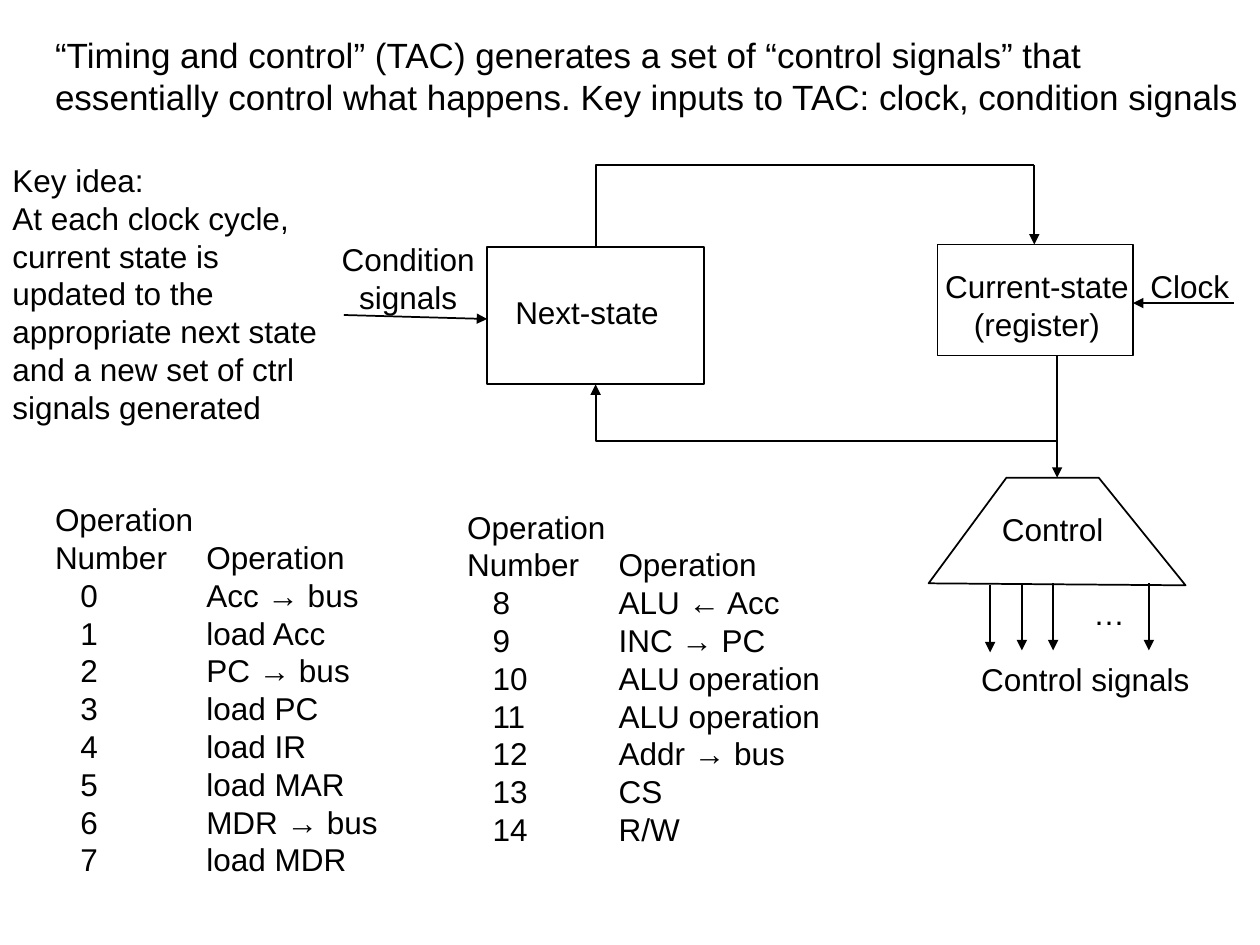
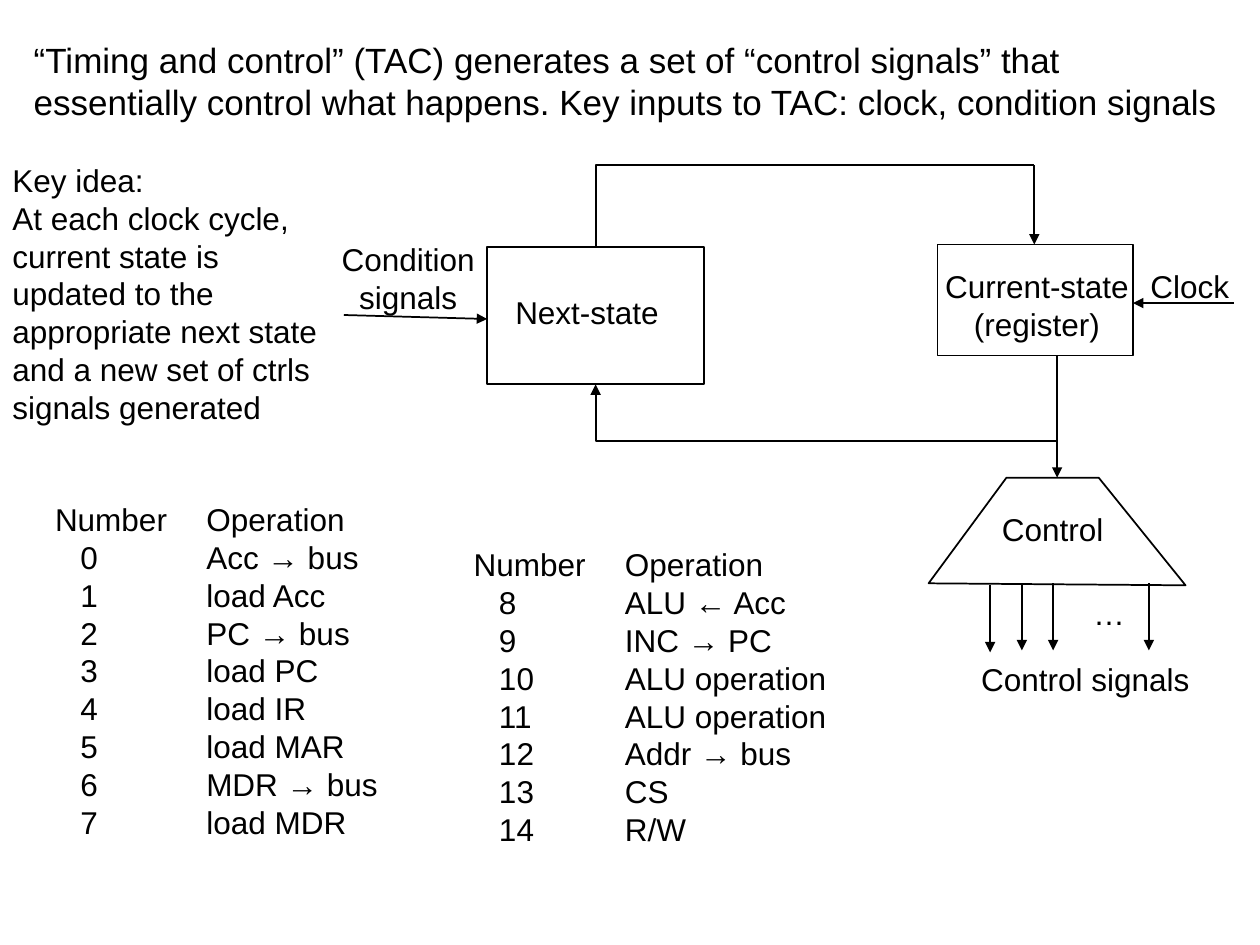
import pptx
import pptx.util
import pptx.dml.color
import pptx.enum.shapes
import pptx.enum.text
import pptx.oxml.ns
import lxml.etree

Cm = pptx.util.Cm
qn = pptx.oxml.ns.qn
ALIGN = pptx.enum.text.PP_ALIGN
KIND = pptx.enum.shapes.MSO_CONNECTOR

INK = {"text": "000000", "line": "000000"}
FONT = "Arial"
TABS = (0.51, 3.05)
TITLE = ("“Timing and control” (TAC) generates a set of “control signals” that "
         "essentially control what happens. Key inputs to TAC: clock, condition signals")
IDEA = ("Key idea:\nAt each clock cycle,\n"
        "current state is updated to the appropriate next state\n"
        "and a new set of {} signals generated")
STEPS = ["Acc → bus", "load Acc", "PC → bus", "load PC", "load IR", "load MAR",
         "MDR → bus", "load MDR", "ALU ← Acc", "INC → PC", "ALU operation",
         "ALU operation", "Addr → bus", "CS", "R/W"]
SPLIT = 8


def paint(key):
    return pptx.dml.color.RGBColor.from_string(INK[key])


def write(slide, text, left, top, width, height, size=18, align=ALIGN.LEFT):
    box = slide.shapes.add_textbox(Cm(left), Cm(top), Cm(width), Cm(height))
    frame = box.text_frame
    frame.word_wrap = True
    frame.auto_size = pptx.enum.text.MSO_AUTO_SIZE.SHAPE_TO_FIT_TEXT
    frame.text = text
    for para in frame.paragraphs:
        para.alignment = align
        for run in para.runs:
            run.font.name = FONT
            run.font.size = pptx.util.Pt(size)
            run.font.color.rgb = paint("text")
    return frame


def label(slide, text, *place):
    write(slide, text, *place, align=ALIGN.CENTER)


def stroke(line):
    line.color.rgb = paint("line")
    line.width = pptx.util.Pt(1)


def outline(shape):
    shape.shadow.inherit = False
    shape.fill.background()
    stroke(shape.line)


def block(slide, left, top, width, height):
    outline(slide.shapes.add_shape(pptx.enum.shapes.MSO_SHAPE.RECTANGLE,
                                   Cm(left), Cm(top), Cm(width), Cm(height)))


def outlet(slide, points):
    """Draw a closed outline through the points."""
    first, *rest = [(Cm(x), Cm(y)) for x, y in points]
    pen = slide.shapes.build_freeform(*first)
    pen.add_line_segments(rest, close=True)
    outline(pen.convert_to_shape())


def wire(slide, start, end, bent=False, arrow=True):
    """Join two points; a bent wire runs level first, then upright."""
    kind = KIND.ELBOW if bent else KIND.STRAIGHT
    link = slide.shapes.add_connector(kind, *map(Cm, start + end))
    stroke(link.line)
    props = link._element.spPr
    if bent:
        props.find(qn("a:prstGeom")).set("prst", "bentConnector2")
    if arrow:
        tail = lxml.etree.SubElement(props.find(qn("a:ln")), qn("a:tailEnd"))
        tail.set("type", "triangle")
    lxml.etree.SubElement(props, qn("a:effectLst"))


def listing(slide, left, top, first, steps, tall):
    """List numbered steps; a tall head has a line above the column names."""
    rows = ["Operation"] if tall else []
    rows.append("Number\tOperation")
    rows += [f"\t{num}\t{step}" for num, step in enumerate(steps, first)]
    frame = write(slide, "\n".join(rows), left, top, 8.2, 0.25 + 0.77 * len(rows))
    for para in frame.paragraphs:
        stops = lxml.etree.SubElement(para._p.get_or_add_pPr(), qn("a:tabLst"))
        for spot in TABS:
            stop = lxml.etree.SubElement(stops, qn("a:tab"))
            stop.set("pos", str(int(Cm(spot))))
            stop.set("algn", "l")


def machine(slide):
    """Draw the state machine and the signals that it sends out."""
    block(slide, 9.82, 4.98, 4.37, 2.77)
    block(slide, 18.9, 4.93, 3.94, 2.24)
    outlet(slide, [(20.29, 9.63), (22.15, 9.63), (23.9, 11.8), (18.72, 11.76)])

    wire(slide, (6.93, 6.35), (9.82, 6.43))
    wire(slide, (20.85, 3.33), (12.01, 4.98), bent=True, arrow=False)
    wire(slide, (20.85, 3.33), (20.85, 4.93))
    wire(slide, (21.31, 7.18), (21.31, 9.63))
    wire(slide, (21.31, 8.89), (12.01, 7.75), bent=True)
    wire(slide, (24.87, 6.11), (22.84, 6.11))
    for x, y in ((19.96, 11.8), (20.6, 11.76), (21.23, 11.76), (23.16, 11.76)):
        wire(slide, (x, y), (x, y + 1.35))

    label(slide, "…", 21.56, 11.86, 1.6, 1.02)
    label(slide, "Condition\nsignals", 6.2, 4.72, 4.06, 1.8)
    label(slide, "Next-state", 9.7, 5.79, 4.27, 1.02)
    label(slide, "Current-state\n(register)", 18.77, 5.26, 4.27, 1.8)
    label(slide, "Control", 19.3, 10.16, 3.84, 1.02)
    write(slide, "Clock", 22.94, 5.26, 2.34, 1.02)
    write(slide, "Control signals", 19.53, 13.18, 5.54, 1.02)


def page(deck, title, right, word, tall):
    """Add a slide; title and right are the corners of the title and second list."""
    slide = deck.slides.add_slide(deck.slide_layouts[6])
    write(slide, TITLE, *title, 24.54, 1.96, size=20)
    machine(slide)
    listing(slide, 0.86, 9.96, 0, STEPS[:SPLIT], tall)
    listing(slide, *right, SPLIT, STEPS[SPLIT:], tall)
    write(slide, IDEA.format(word), 0, 3.12, 6.83, 5.64)


def main():
    deck = pptx.Presentation()
    deck.slide_width, deck.slide_height = Cm(25.4), Cm(19.05)
    page(deck, (0.86, 0.56), (9.17, 10.11), "ctrl", tall=True)
    page(deck, (0.43, 0.66), (9.3, 10.87), "ctrls", tall=False)
    deck.save("out.pptx")


if __name__ == "__main__":
    main()
